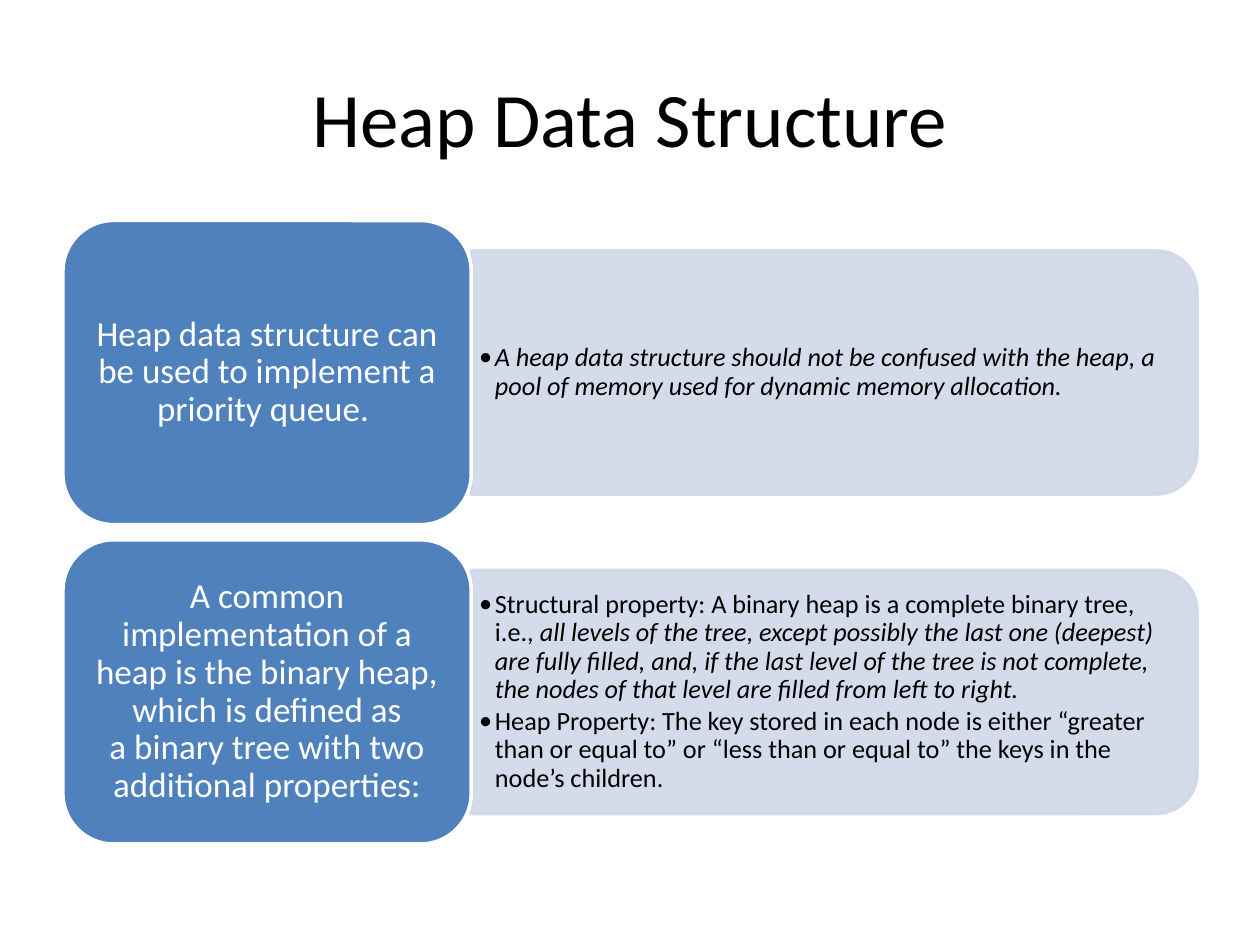
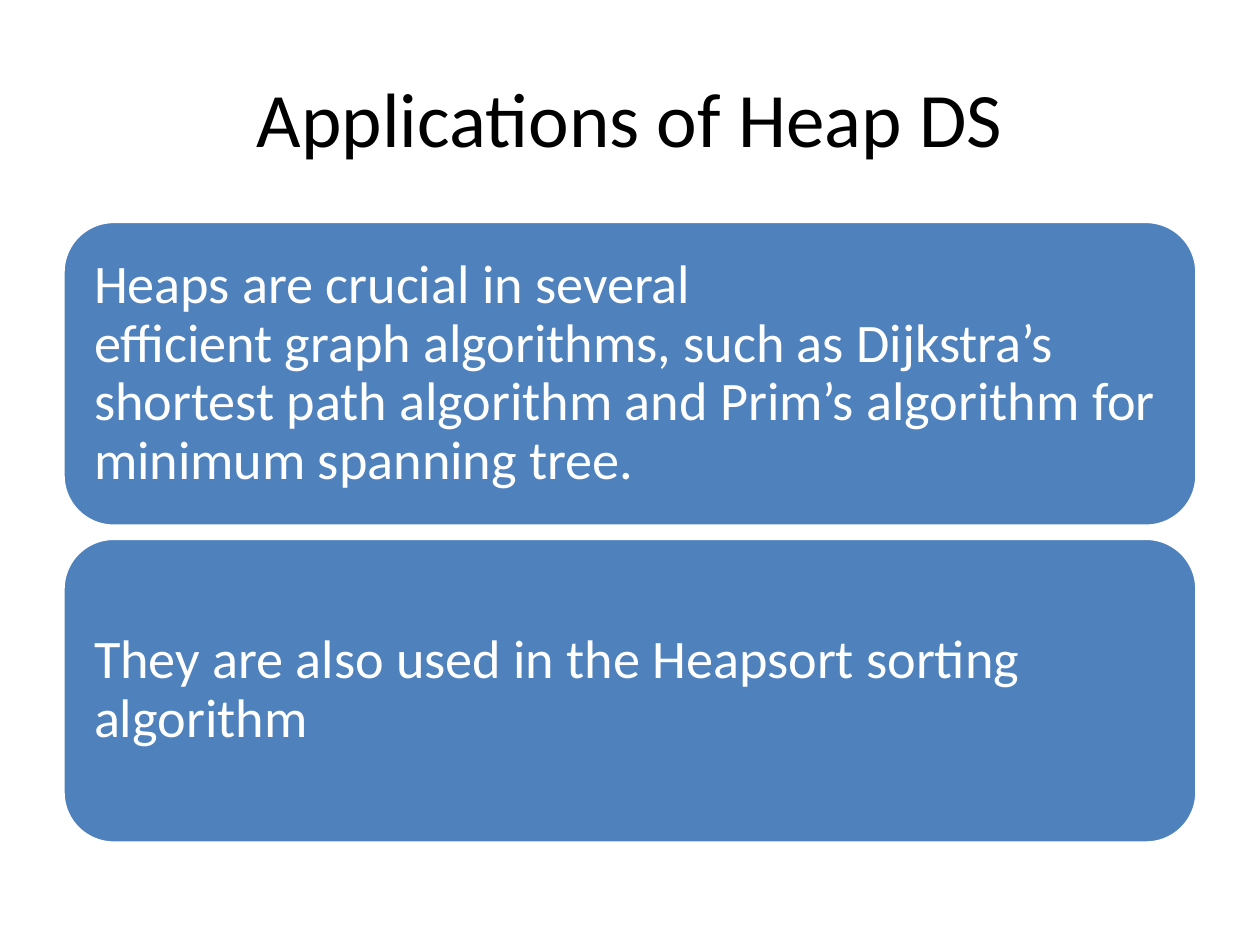
from lxml import etree
from pptx import Presentation
from pptx.dml.color import RGBColor
from pptx.enum.shapes import MSO_SHAPE
from pptx.enum.text import MSO_ANCHOR, PP_ALIGN
from pptx.oxml.ns import qn
from pptx.util import Pt

CARD_SHAPE = MSO_SHAPE.ROUNDED_RECTANGLE
PANEL_SHAPE = MSO_SHAPE.ROUND_2_SAME_RECTANGLE
MIDDLE = MSO_ANCHOR.MIDDLE
LEFT, CENTER = PP_ALIGN.LEFT, PP_ALIGN.CENTER

BLACK = RGBColor(0x00, 0x00, 0x00)
WHITE = RGBColor(0xFF, 0xFF, 0xFF)
BLUE = RGBColor(0x4F, 0x81, 0xBD)
PALE_BLUE = RGBColor(0xD0, 0xD8, 0xE8)
FONT = "Calibri"
NBSP = chr(160)  # keeps words together on a line

# Layout in points
MARGIN, CONTENT_WIDTH = 36, 648
CARDS_TOP = 126
TOPIC_WIDTH, TOPIC_HEIGHT, TOPIC_PITCH = 233.28, 173.8, 182.5
DETAIL_HEIGHT = 139
USE_TOP, USE_HEIGHT, USE_PITCH = 126.5, 174.2, 181.1

# Each paragraph is a list of (text, italic) runs
TOPICS = [
    (f"Heap data structure can be used to implement a priority queue.{NBSP}",
     [[("A heap data structure should not be confused with the heap, a pool "
        f"of memory used for dynamic memory allocation.{NBSP}", True)]]),
    (f"A common implementation of a heap is the{NBSP}binary heap, which is "
     f"defined as a{NBSP}binary tree{NBSP}with two additional properties:",
     [[("Structural property: A binary heap is a complete binary tree, "
        f"i.e.,{NBSP}", False),
       ("all levels of the tree, except possibly the last one (deepest) are "
        "fully filled, and, if the last level of the tree is not complete, "
        "the nodes of that level are filled from left to right.", True)],
      [("Heap Property: The key stored in each node is either “greater than "
        "or equal to” or “less than or equal to” the keys in the node’s "
        "children.", False)]]),
]
USES = [
    f"Heaps are crucial in several efficient{NBSP}graph{NBSP}algorithms, "
    f"such as{NBSP}Dijkstra’s shortest path algorithm{NBSP}and Prim’s "
    "algorithm for minimum spanning tree.",
    f"They are also used in the{NBSP}Heapsort sorting algorithm",
]


def write_text(frame, paragraphs, size, color, align=LEFT, spacing=0.9,
               insets=(7.2, 3.6), space_after=0, bullet_indent=0):
    """Fill a text frame with paragraphs made of (text, italic) runs."""
    frame.word_wrap = True
    frame.vertical_anchor = MIDDLE
    frame.margin_left = frame.margin_right = Pt(insets[0])
    frame.margin_top = frame.margin_bottom = Pt(insets[1])
    for index, runs in enumerate(paragraphs):
        paragraph = frame.add_paragraph() if index else frame.paragraphs[0]
        paragraph.alignment = align
        paragraph.line_spacing = spacing
        paragraph.space_after = Pt(space_after)
        if bullet_indent:
            properties = paragraph._p.get_or_add_pPr()
            properties.set("marL", str(Pt(bullet_indent)))
            properties.set("indent", str(-Pt(bullet_indent)))
            etree.SubElement(properties, qn("a:buFont"), typeface=FONT)
            etree.SubElement(properties, qn("a:buChar"), char="•")
        for text, italic in runs:
            run = paragraph.add_run()
            run.text = text
            run.font.name = FONT
            run.font.size = Pt(size)
            run.font.italic = italic
            run.font.color.rgb = color


class Deck:
    def __init__(self):
        self.presentation = Presentation()
        self.presentation.slide_width = Pt(720)
        self.presentation.slide_height = Pt(540)
        self.slide = None

    def start_slide(self, heading):
        layout = self.presentation.slide_layouts[5]
        self.slide = self.presentation.slides.add_slide(layout)
        title = self.slide.shapes.title
        title.left, title.top = Pt(MARGIN), Pt(21.6)
        title.width, title.height = Pt(CONTENT_WIDTH), Pt(90)
        write_text(title.text_frame, [[(heading, False)]], 44, BLACK,
                   align=CENTER, spacing=1.0)

    def block(self, kind, left, top, width, height, fill, line):
        block = self.slide.shapes.add_shape(
            kind, Pt(left), Pt(top), Pt(width), Pt(height))
        block.shadow.inherit = False
        block.fill.solid()
        block.fill.fore_color.rgb = fill
        block.line.color.rgb = line
        block.line.width = Pt(2)
        return block

    def card(self, text, top, width, height, size, align, insets):
        card = self.block(CARD_SHAPE, MARGIN, top, width, height, BLUE, WHITE)
        write_text(card.text_frame, [[(text, False)]], size, WHITE,
                   align=align, insets=insets)

    def detail_panel(self, paragraphs, left, top, width, height):
        # A quarter turn puts the two round corners on the right
        panel = self.block(PANEL_SHAPE, left + (width - height) / 2,
                           top + (height - width) / 2, height, width,
                           PALE_BLUE, PALE_BLUE)
        panel.rotation = 90
        for color in panel._element.spPr.iter(qn("a:srgbClr")):
            etree.SubElement(color, qn("a:alpha"), val="90000")
        # Upright text, kept clear of the round corners
        details = self.slide.shapes.add_textbox(
            Pt(left), Pt(top + 6.8), Pt(width - 6.8), Pt(height - 13.6))
        write_text(details.text_frame, paragraphs, 15, BLACK,
                   insets=(4.5, 2.25), space_after=2, bullet_indent=9)


def main():
    deck = Deck()

    # Topics with their details
    deck.start_slide("Heap Data Structure")
    for row, (topic, details) in enumerate(TOPICS):
        top = CARDS_TOP + row * TOPIC_PITCH
        deck.detail_panel(details, MARGIN + TOPIC_WIDTH,
                          top + (TOPIC_HEIGHT - DETAIL_HEIGHT) / 2,
                          CONTENT_WIDTH - TOPIC_WIDTH, DETAIL_HEIGHT)
        deck.card(topic, top, TOPIC_WIDTH, TOPIC_HEIGHT, 20, CENTER, (6, 3))

    # Applications
    deck.start_slide("Applications of Heap DS")
    for row, use in enumerate(USES):
        deck.card(use, USE_TOP + row * USE_PITCH, CONTENT_WIDTH, USE_HEIGHT,
                  31, LEFT, (9.3, 9.3))

    deck.presentation.save("out.pptx")


if __name__ == "__main__":
    main()
